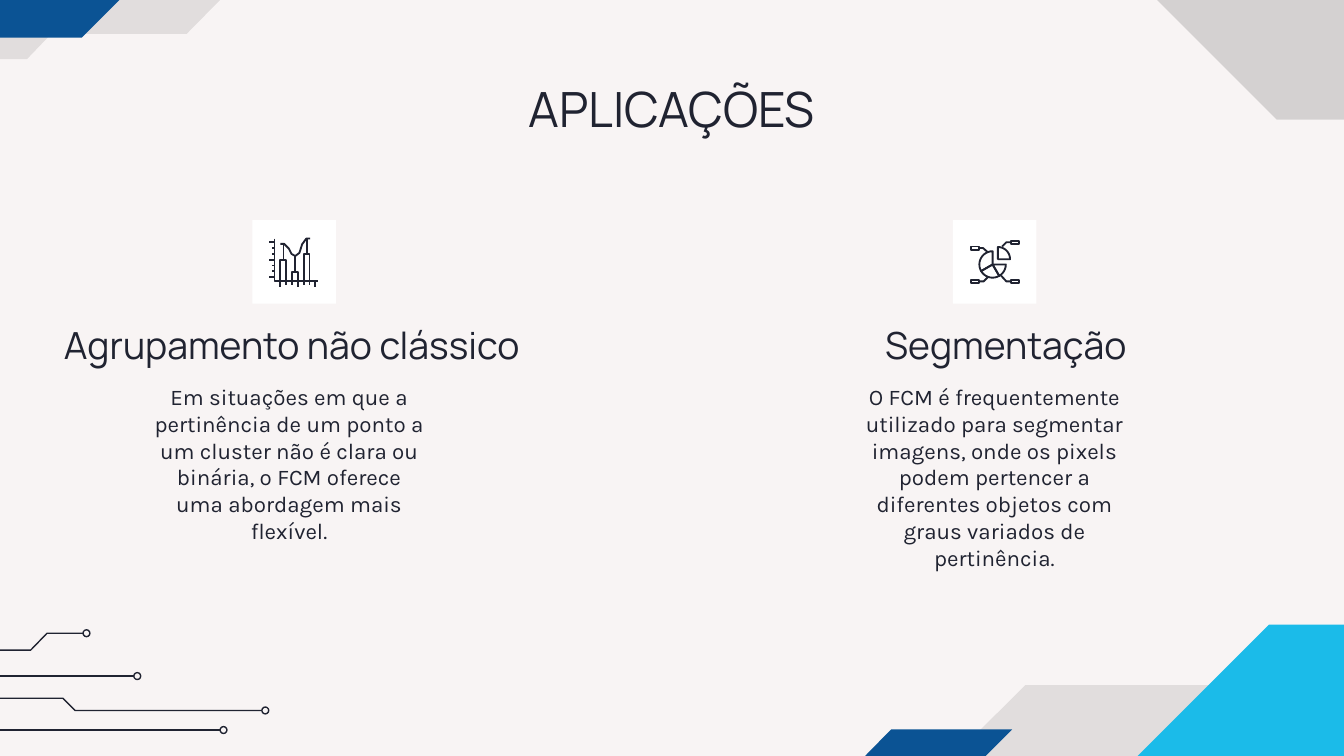
"""Build the slide "APLICAÇÕES" with two uses of FCM."""
import math
import pptx
import pptx.dml.color
import pptx.enum.shapes
import pptx.enum.text
import pptx.oxml.ns
import pptx.util
import lxml.etree

Cm = pptx.util.Cm
Pt = pptx.util.Pt
hue = pptx.dml.color.RGBColor.from_string
kinds = pptx.enum.shapes.MSO_SHAPE
anchor = pptx.enum.text.MSO_ANCHOR
qn = pptx.oxml.ns.qn
INK, BLUE, CYAN, BLACK, WHITE = "202331", "0B5394", "1BBBE9", "000000", "FFFFFF"


def paint(shape, fill=None, line=None, width=0.75, alpha=100):
    """Set fill, outline and opacity, without a shadow."""
    shape.shadow.inherit = False
    if fill:
        shape.fill.solid()
        shape.fill.fore_color.rgb = hue(fill)
        if alpha < 100:
            tone = shape.fill._xPr.find(".//" + qn("a:srgbClr"))
            lxml.etree.SubElement(tone, qn("a:alpha"), val=str(alpha * 1000))
    else:
        shape.fill.background()
    if line:
        shape.line.color.rgb = hue(line)
        shape.line.width = Pt(width)
    else:
        shape.line.fill.background()


def trace(paths, close=False):
    """Join points in cm into one freeform."""
    pen = None
    for path in paths:
        spots = [(Cm(x), Cm(y)) for x, y in path]
        if pen is None:
            pen = slide.shapes.build_freeform(*spots[0], scale=1.0)
        else:
            pen.move_to(*spots[0])
        pen.add_line_segments(spots[1:], close=close)
    return pen.convert_to_shape()


deck = pptx.Presentation()
wide, high = 25.4, 14.29
deck.slide_width, deck.slide_height = Cm(wide), Cm(high)
slide = deck.slides.add_slide(deck.slide_layouts[5])
slide.background.fill.solid()
slide.background.fill.fore_color.rgb = hue("F8F4F4")

bands = [
    (BLACK, 9, [(18.03, high), (19.38, 12.95), (23.55, 12.95), (24.33, 12.19),
                (wide, 12.19), (wide, high)]),
    (BLACK, 14, [(21.87, 0), (24.13, 2.26), (wide, 2.26), (wide, 0)]),
    (BLACK, 9, [(0, 0), (4.16, 0), (3.53, 0.64), (0.97, 0.64), (0.51, 1.12), (0, 1.12)]),
    (BLUE, 100, [(0, 0), (2.26, 0), (1.55, 0.71), (0, 0.71)]),
    (BLUE, 100, [(16.35, high), (16.84, 13.79), (19.13, 13.79), (18.63, high)]),
    (CYAN, 100, [(21.5, high), (23.98, 11.81), (wide, 11.81), (wide, high)]),
]
for fill, alpha, path in bands:
    paint(trace([path], close=True), fill, alpha=alpha)

wires = [
    [(0, 12.78), (2.53, 12.78)],
    [(0, 12.29), (0.58, 12.29), (0.89, 11.97), (1.57, 11.97)],
    [(0, 13.2), (1.19, 13.2), (1.42, 13.43), (4.95, 13.43)],
    [(0, 13.8), (4.16, 13.8)],
]
dot = 0.13
for wire in wires:
    x, y = wire[-1]
    if len(wire) == 2:
        cord = slide.shapes.add_connector(
            pptx.enum.shapes.MSO_CONNECTOR.STRAIGHT, Cm(0), Cm(y), Cm(x), Cm(y))
        cord.line.color.rgb = hue(INK)
        cord.line.width = Pt(0.75)
        lxml.etree.SubElement(cord._element.spPr, qn("a:effectLst"))
    else:
        paint(trace([wire]), line=INK)
    ring = slide.shapes.add_shape(kinds.OVAL, Cm(x), Cm(y - dot / 2), Cm(dot), Cm(dot))
    paint(ring, line=INK)

title = slide.shapes.title
title.text_frame.text = "APLICAÇÕES"
title.left, title.top, title.width, title.height = Cm(2), Cm(1.25), Cm(21.4), Cm(1.6)
texts = [(title, "Manrope", 26, anchor.MIDDLE)]
parts = [
    (2.62, 6.99, 5.69, 4.19, "Karla", 12, anchor.TOP,
     "Em situações em que a pertinência de um ponto a um cluster não é clara ou "
     "binária, o FCM oferece uma abordagem mais flexível."),
    (15.95, 6.99, 5.69, 4.19, "Karla", 12, anchor.TOP,
     "O FCM é frequentemente utilizado para segmentar imagens, onde os pixels podem "
     "pertencer a diferentes objetos com graus variados de pertinência."),
    (0.23, 5.74, 10.57, 1.45, "Manrope", 20, anchor.BOTTOM, "Agrupamento não clássico"),
    (15.29, 5.74, 7.44, 1.45, "Manrope", 20, anchor.BOTTOM, "Segmentação"),
]
for x, y, w, h, font, size, hold, words in parts:
    box = slide.shapes.add_textbox(Cm(x), Cm(y), Cm(w), Cm(h))
    box.text_frame.text = words
    texts.append((box, font, size, hold))
for box, font, size, hold in texts:
    frame = box.text_frame
    frame.word_wrap = True
    frame.auto_size = pptx.enum.text.MSO_AUTO_SIZE.NONE
    frame.vertical_anchor = hold
    frame.margin_left = frame.margin_right = Cm(0.25)
    frame.margin_top = frame.margin_bottom = Cm(0.25)
    line = frame.paragraphs[0]
    line.alignment = pptx.enum.text.PP_ALIGN.CENTER
    run = line.runs[0]
    run.font.name = font
    run.font.size = Pt(size)
    run.font.color.rgb = hue(INK)

for x in (4.77, 18.01):
    tile = slide.shapes.add_shape(kinds.RECTANGLE, Cm(x), Cm(4.16), Cm(1.58), Cm(1.58))
    paint(tile, WHITE)

base = 5.31
chart = [
    [(5.19, 4.51), (5.19, base), (6.01, base)],
    [(5.3, 4.61), (5.37, 4.61), (5.46, 4.7), (5.51, 4.8), (5.58, 4.84),
     (5.66, 4.78), (5.71, 4.62), (5.79, 4.51), (5.86, 4.51)],
]
for i in range(7):
    long = i % 3 == 0
    x, y = 5.3 + 0.11 * i, 4.58 + 0.11 * i
    chart.append([(5.09 if long else 5.14, y), (5.19, y)])
    chart.append([(x, base), (x, 5.43 if long else 5.38)])
for i, (stem, top) in enumerate([(4.61, 4.91), (4.84, 5.14), (4.51, 4.8)]):
    x = 5.3 + 0.22 * i
    chart.append([(x, base), (x, top), (x + 0.11, top), (x + 0.11, base)])
    chart.append([(x + 0.06, stem), (x + 0.06, top)])

pie = [
    [(18.5, 4.69), (18.58, 4.69), (18.67, 4.77)],
    [(19.11, 4.58), (19.02, 4.58), (18.94, 4.66)],
    [(18.5, 5.32), (18.59, 5.32), (18.67, 5.24)],
    [(19.11, 5.32), (19.02, 5.32), (18.92, 5.21)],
]
for x, y in [(18.35, 4.66), (19.11, 4.55), (18.35, 5.29), (19.11, 5.29)]:
    pie.append([(x, y), (x + 0.15, y), (x + 0.15, y + 0.06), (x, y + 0.06), (x, y)])
for x, y, size, start, end in [(18.76, 5, 0.25, 0, 60), (18.76, 5, 0.25, 60, 150),
                               (18.76, 5, 0.25, 150, 270), (18.86, 4.9, 0.23, 270, 360)]:
    arc = [(x + size * math.cos(math.radians(a)), y + size * math.sin(math.radians(a)))
           for a in range(start, end + 1, 10)]
    pie.append([(x, y), *arc, (x, y)])

for icon in (chart, pie):
    paint(trace(icon), line=INK, width=1)

deck.save("out.pptx")
